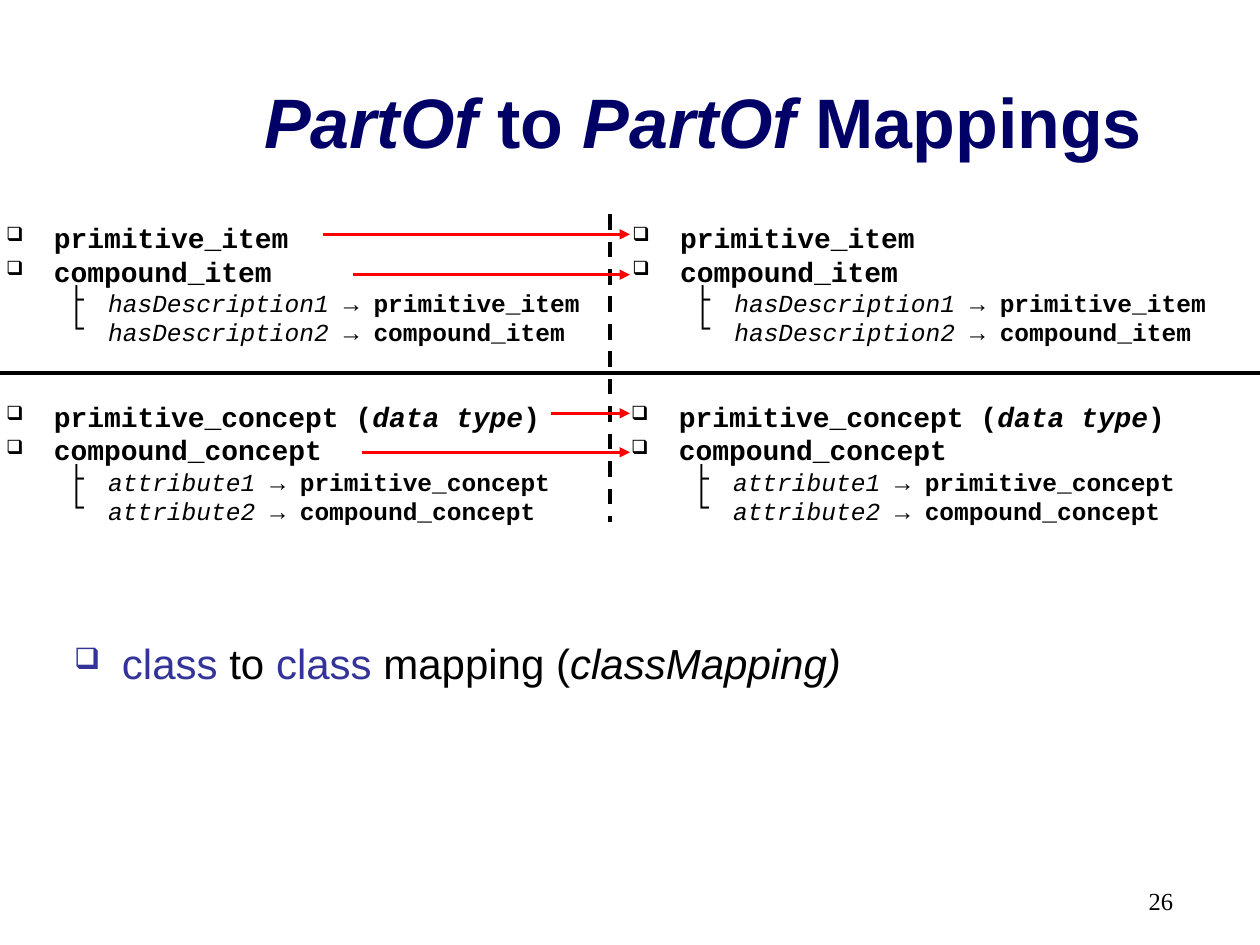
"""Build the PartOf to PartOf mappings slide."""
import pptx
import pptx.dml.color
import pptx.enum.dml
import pptx.enum.shapes
import pptx.enum.text
import pptx.oxml.ns
import pptx.util
from lxml import etree

Inches, Pt = pptx.util.Inches, pptx.util.Pt
ALIGN = pptx.enum.text.PP_ALIGN
qn = pptx.oxml.ns.qn
THEME = {
    "title": "000066", "accent": "333399", "text": "000000", "arrow": "FF0000",
    "sans": "Arial", "mono": "Courier New", "serif": "Times New Roman",
    "title_pt": 40, "body_pt": 24, "class_pt": 16, "part_pt": 14,
}


def add_text(s, box, paragraphs, anchor=pptx.enum.text.MSO_ANCHOR.TOP):
    tf = s.shapes.add_textbox(*[Inches(v) for v in box]).text_frame
    tf.word_wrap = True
    tf.vertical_anchor = anchor
    for i, para in enumerate(paragraphs):
        p = tf.paragraphs[0] if i == 0 else tf.add_paragraph()
        p.alignment = para.get("align", ALIGN.LEFT)
        p.line_spacing = para.get("spacing", 1.0)
        p.space_before = Pt(para.get("before", 0) if i else 0)
        if "bullet" in para:
            char, color, percent, margin, indent = para["bullet"]
            pPr = p._p.get_or_add_pPr()
            pPr.set("marL", str(Inches(margin)))
            pPr.set("indent", str(Inches(indent)))
            clr = etree.SubElement(pPr, qn("a:buClr"))
            etree.SubElement(clr, qn("a:srgbClr"), val=THEME[color])
            etree.SubElement(pPr, qn("a:buSzPct"), val=str(percent * 1000))
            etree.SubElement(pPr, qn("a:buChar"), char=char)
        for text, style, color in para["runs"]:
            r = p.add_run()
            r.text = text
            r.font.name = THEME[para["font"]]
            r.font.size = Pt(THEME[para["size"]])
            r.font.bold = "b" in style
            r.font.italic = "i" in style
            r.font.color.rgb = pptx.dml.color.RGBColor.from_string(THEME[color])


def add_line(s, start, end, color, width):
    line = s.shapes.add_connector(
        pptx.enum.shapes.MSO_CONNECTOR.STRAIGHT, *[Inches(v) for v in start + end])
    line.line.color.rgb = pptx.dml.color.RGBColor.from_string(THEME[color])
    line.line.width = Pt(width)
    etree.SubElement(line._element.spPr, qn("a:effectLst"))
    return line


prs = pptx.Presentation()
prs.slide_width, prs.slide_height = Inches(10), Inches(7.5)
s = prs.slides.add_slide(prs.slide_layouts[6])

title_runs = [("PartOf", "bi", "title"), (" to ", "b", "title"),
              ("PartOf", "bi", "title"), (" Mappings", "b", "title")]
add_text(s, (1.58, 0.33, 8, 1.25),
         [{"runs": title_runs, "font": "sans", "size": "title_pt", "align": ALIGN.CENTER}],
         pptx.enum.text.MSO_ANCHOR.MIDDLE)

levels = [
    (1.75, (-0.05, 4.92), "item", "hasDescription", [("primitive_item", "b", "text")]),
    (3.17, (-0.05, 4.91), "concept", "attribute",
     [("primitive_concept (", "b", "text"), ("data type", "bi", "text"), (")", "b", "text")]),
]
for top, lefts, kind, part, primitive in levels:
    paragraphs = [
        {"runs": runs, "font": "mono", "size": "class_pt", "spacing": 0.8, "before": 4,
         "bullet": ("❑", "text", 70, 0.38, -0.38)}
        for runs in (primitive, [(f"compound_{kind}", "b", "text")])]
    for n, (branch, target) in enumerate([("├", "primitive"), ("└", "compound")], 1):
        runs = [(f"{part}{n}", "i", "text"), (" → ", "", "text"),
                (f"{target}_{kind}", "b", "text")]
        paragraphs.append(
            {"runs": runs, "font": "mono", "size": "part_pt", "spacing": 0.8, "before": 3.5,
             "bullet": (branch, "text", 100, 0.81, -0.31)})
    for left in lefts:
        add_text(s, (left, top, 4.89, 1.06), paragraphs)

add_line(s, (0, 2.96), (10, 2.96), "text", 2.25)
divider = add_line(s, (4.84, 1.7), (4.84, 4.14), "text", 2.25)
divider.line.dash_style = pptx.enum.dml.MSO_LINE.DASH

for x, y in [(2.56, 1.86), (2.8, 2.18), (4.37, 3.28), (2.87, 3.59)]:
    arrow = add_line(s, (x, y), (5, y), "arrow", 1.5)
    etree.SubElement(arrow.line._get_or_add_ln(), qn("a:tailEnd"), type="triangle")

summary_runs = [("class ", "", "accent"), ("to ", "", "text"), ("class ", "", "accent"),
                ("mapping (", "", "text"), ("classMapping)", "i", "text")]
add_text(s, (0.49, 5.01, 9, 1.73),
         [{"runs": summary_runs, "font": "sans", "size": "body_pt",
           "bullet": ("❑", "accent", 70, 0.38, -0.38)}])
add_text(s, (7.08, 6.98, 2.33, 0.52),
         [{"runs": [("26", "", "text")], "font": "serif", "size": "part_pt",
           "align": ALIGN.RIGHT}])

prs.save("out.pptx")
